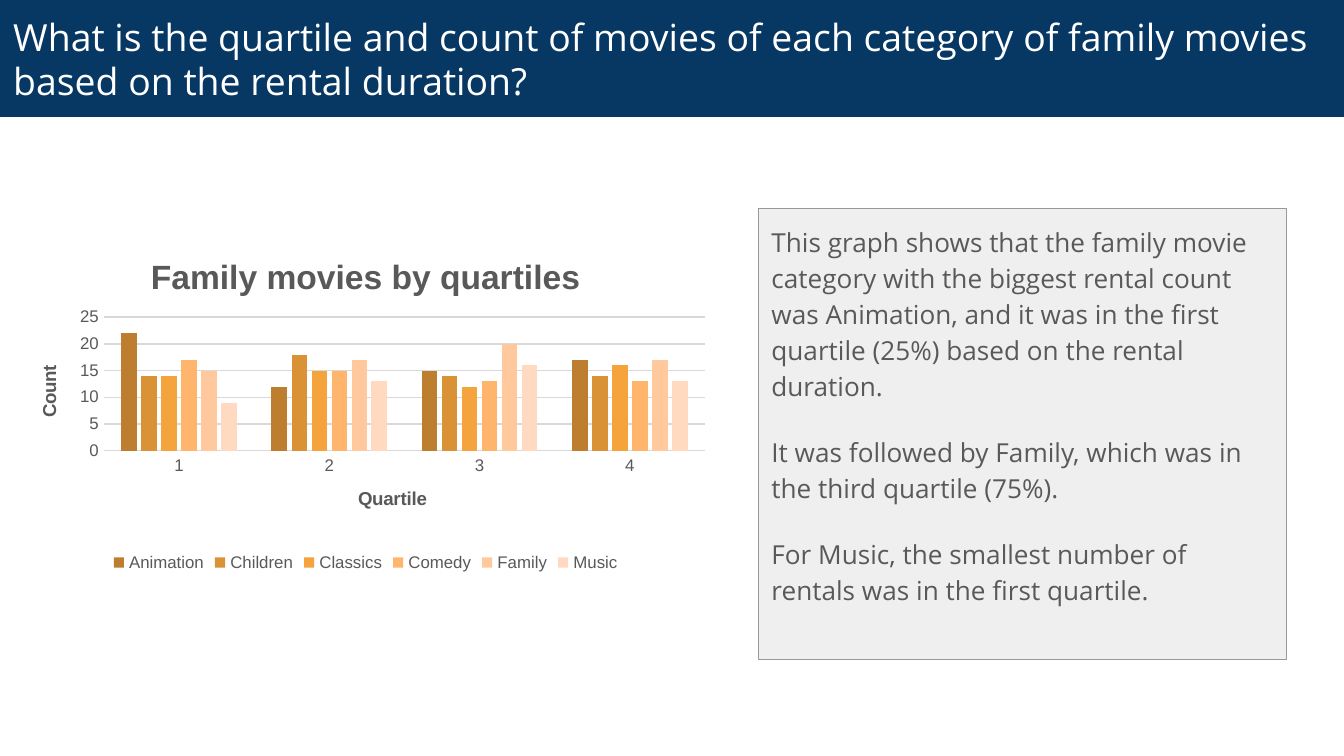
from dataclasses import dataclass

from lxml.etree import SubElement
from pptx import Presentation
from pptx.chart.data import CategoryChartData
from pptx.dml.color import RGBColor
from pptx.enum.chart import XL_CHART_TYPE, XL_LEGEND_POSITION, XL_TICK_MARK
from pptx.enum.shapes import MSO_SHAPE
from pptx.enum.text import MSO_ANCHOR, MSO_AUTO_SIZE, PP_ALIGN
from pptx.oxml.ns import qn
from pptx.util import Cm, Pt


@dataclass(frozen=True)
class Theme:
    """Colours, fonts and type sizes of the slide."""
    navy: str = "073763"
    white: str = "FFFFFF"
    text: str = "595959"
    panel: str = "EFEFEF"
    border: str = "999999"
    grid: str = "D9D9D9"
    body_font: str = "Open Sans"
    chart_font: str = "Arial"
    title_size: int = 20
    body_size: int = 14
    chart_title_size: int = 18
    axis_title_size: int = 10
    label_size: int = 9
    line: float = 0.75


THEME = Theme()
TITLE = ("What is the quartile and count of movies of each category "
         "of family movies based on the rental duration?")
FINDINGS = [
    "This graph shows that the family movie category with the biggest rental count "
    "was Animation, and it was in the first quartile (25%) based on the rental duration.",
    "It was followed by Family, which was in the third quartile (75%).",
    "For Music, the smallest number of rentals was in the first quartile.",
]
QUARTILES = ["1", "2", "3", "4"]
SERIES = [
    ("Animation", (22, 12, 15, 17), "BD7F2F"),
    ("Children", (14, 18, 14, 14), "DA9237"),
    ("Classics", (14, 15, 12, 16), "F4A33D"),
    ("Comedy", (17, 15, 13, 13), "FFB66C"),
    ("Family", (15, 17, 20, 17), "FFC99D"),
    ("Music", (9, 13, 16, 13), "FFDAC0"),
]


def fill(fmt, color):
    """Give a shape or series format a solid fill."""
    fmt.fill.solid()
    fmt.fill.fore_color.rgb = RGBColor.from_string(color)


def stroke(line, color):
    """Give a line its colour and the theme width."""
    line.color.rgb = RGBColor.from_string(color)
    line.width = Pt(THEME.line)


def style_font(font, name, size, color, bold=False):
    """Set face, size, colour and weight of a font."""
    font.name, font.size, font.bold = name, Pt(size), bold
    font.color.rgb = RGBColor.from_string(color)


def write(tf, texts, size, color, anchor, spacing=1.0, after=0):
    """Fill a text frame with left-aligned paragraphs."""
    tf.word_wrap, tf.auto_size, tf.vertical_anchor = True, MSO_AUTO_SIZE.NONE, anchor
    tf.margin_left = tf.margin_right = tf.margin_top = tf.margin_bottom = Cm(0.25)
    for i, text in enumerate(texts):
        p = tf.paragraphs[0] if i == 0 else tf.add_paragraph()
        p.text, p.alignment, p.line_spacing = text, PP_ALIGN.LEFT, spacing
        p.space_before, p.space_after = Pt(0), Pt(after)
        style_font(p.font, THEME.body_font, size, color)


def add_title(s, width):
    """Format the title placeholder as a full-width band."""
    sp = s.shapes.title
    sp.left, sp.top, sp.width, sp.height = Cm(0), Cm(0), width, Cm(2.21)
    fill(sp, THEME.navy)
    write(sp.text_frame, [TITLE], THEME.title_size, THEME.white, MSO_ANCHOR.MIDDLE)


def add_panel(s):
    """Add the framed panel of findings."""
    sp = s.shapes.add_shape(MSO_SHAPE.RECTANGLE, Cm(14.33), Cm(3.94), Cm(9.98), Cm(8.53))
    sp.shadow.inherit = False
    fill(sp, THEME.panel)
    stroke(sp.line, THEME.border)
    write(sp.text_frame, FINDINGS, THEME.body_size, THEME.text, MSO_ANCHOR.TOP, 1.15, 16)


def set_title(owner, text, size):
    """Give a chart or an axis a bold title."""
    p = owner.text_frame.paragraphs[0]
    p.text = text
    style_font(p.font, THEME.chart_font, size, THEME.text, True)


def style_axis(axis, title):
    """Format an axis with its labels and title."""
    axis.major_tick_mark = axis.minor_tick_mark = XL_TICK_MARK.NONE
    style_font(axis.tick_labels.font, THEME.chart_font, THEME.label_size, THEME.text)
    set_title(axis.axis_title, title, THEME.axis_title_size)


def place_plot(chart, x, y, w, h):
    """Fix the inner plot area as fractions of the chart."""
    area = chart.plots[0]._element.getparent()
    layout = area.find(qn("c:layout"))
    if layout is None:
        layout = SubElement(area, qn("c:layout"))
        area.insert(0, layout)
    manual = SubElement(layout, qn("c:manualLayout"))
    values = {"layoutTarget": "inner", "xMode": "edge", "yMode": "edge",
              "x": x, "y": y, "w": w, "h": h}
    for tag, value in values.items():
        SubElement(manual, qn(f"c:{tag}")).set("val", str(value))


def add_quartile_chart(s):
    """Add the clustered columns of movie counts by quartile."""
    data = CategoryChartData()
    data.categories = QUARTILES
    for name, values, _ in SERIES:
        data.add_series(name, values)
    chart = s.shapes.add_chart(XL_CHART_TYPE.COLUMN_CLUSTERED, Cm(0.23), Cm(4.44),
                               Cm(13.36), Cm(6.48), data).chart
    style_font(chart.font, THEME.chart_font, THEME.axis_title_size, THEME.text)
    chart.has_title = True
    set_title(chart.chart_title, "Family movies by quartiles", THEME.chart_title_size)
    chart.chart_title.include_in_layout = False

    plot = chart.plots[0]
    plot.gap_width, plot.overlap, plot.vary_by_categories = 219, -27, False
    for series, (_, _, color) in zip(plot.series, SERIES):
        fill(series.format, color)

    style_axis(chart.category_axis, "Quartile")
    stroke(chart.category_axis.format.line, THEME.grid)
    axis = chart.value_axis
    style_axis(axis, "Count")
    axis.minimum_scale, axis.maximum_scale, axis.major_unit = 0, 25, 5
    axis.format.line.fill.background()
    stroke(axis.major_gridlines.format.line, THEME.grid)

    chart.has_legend = True
    chart.legend.position = XL_LEGEND_POSITION.BOTTOM
    chart.legend.include_in_layout = False
    style_font(chart.legend.font, THEME.chart_font, THEME.label_size, THEME.text)
    place_plot(chart, 0.13, 0.24, 0.85, 0.39)


def main():
    """Build and save the slide."""
    prs = Presentation()
    prs.slide_width, prs.slide_height = Cm(25.4), Cm(14.29)
    s = prs.slides.add_slide(prs.slide_layouts[5])
    add_panel(s)
    add_title(s, prs.slide_width)
    add_quartile_chart(s)
    prs.save("out.pptx")


if __name__ == "__main__":
    main()
